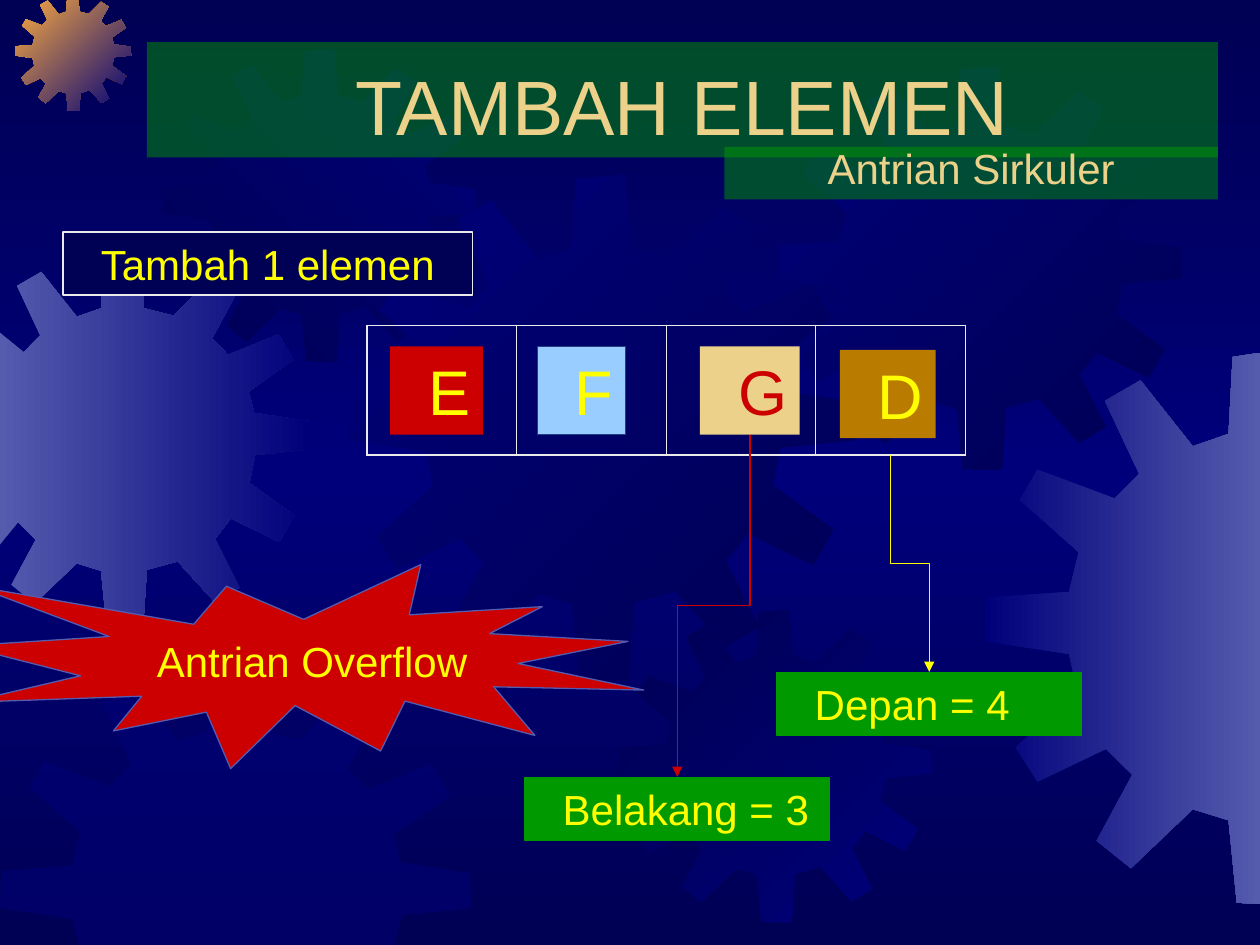
from copy import deepcopy
from pptx import Presentation
from pptx.util import Pt
from pptx.dml.color import RGBColor as Rgb
from pptx.enum.shapes import MSO_SHAPE as Kind, MSO_CONNECTOR as Link
from pptx.enum.text import MSO_ANCHOR as Anchor, MSO_AUTO_SIZE as Auto, PP_ALIGN as Align
from pptx.oxml.ns import qn
from lxml.etree import SubElement as Sub, Element

WIDE, HIGH = 720, 540
FONT = "Arial"
HUE = {
    "navy": "000054", "blue": "00007A", "haze": "555BAD", "amber": "FCAB40",
    "green": "009900", "sand": "EBD189", "red": "CC0000", "ochre": "B97C01",
    "sky": "99CCFF", "ink": "1F4081", "pale": "EAEAEA", "lemon": "FFFF00",
}

SPAN = 401
TEETH = [
    (255, 67), (223, 59), (219, 0), (180, 3), (177, 59), (151, 68), (113, 20), (87, 35),
    (112, 88), (94, 106), (38, 85), (25, 107), (68, 145), (61, 174), (1, 178), (0, 210),
    (61, 219), (67, 246), (22, 287), (38, 312), (88, 288), (107, 307), (81, 355), (106, 375),
    (151, 332), (177, 340), (183, 400), (222, 401), (226, 339), (259, 330), (299, 374), (325, 358),
    (299, 306), (316, 284), (368, 309), (384, 281), (336, 246), (342, 216), (401, 210), (400, 180),
    (341, 171), (335, 148), (383, 114), (367, 87), (313, 109), (296, 91), (323, 41), (297, 25),
]
GEARS = [
    (-36.7, 144.7, 214, "haze", "blue", 0),
    (8.6, -3, 66.3, "amber", "blue", 45),
    (93.6, 28.1, 178.6, "navy", "blue", 315),
    (199.4, 100.1, 289, "blue", "navy", 45),
    (0, 378, 269.3, "blue", None, 0),
    (353.5, 348.5, 178.6, "navy", "blue", 45),
    (445, 38.2, 230.4, "blue", "navy", 45),
    (563, 201.6, 315, "blue", "haze", 0),
]

TITLE = ("TAMBAH ELEMEN", (84, 24, 612, 66))
SUB = ("Antrian Sirkuler", (414, 84, 282, 30))
TILES = [
    ("E", (223, 198, 53, 50.4), "red", None, "lemon"),
    ("F", (307, 198, 50.6, 50.4), "sky", "ink", "lemon"),
    ("G", (400, 198, 57, 50.4), "sand", None, "red"),
    ("D", (480, 200, 54.7, 50.4), "ochre", None, "lemon"),
]
NOTES = [
    ("Tambah 1 elemen", (36, 132.5, 234, 36), "navy", "pale"),
    ("Depan = 4", (444, 384.3, 174, 36), "green", "green"),
    ("Belakang = 3", (300, 444.3, 174, 36), "green", "green"),
]
BURST = ("Antrian Overflow", (-20.9, 322.6, 388.8, 116.6), "red", "haze")
QUEUE = (209.7, 186, 342, 74)
SLOTS = 4
LINKS = [((509, 260), (531, 384), "lemon"), ((428.5, 248.4), (387, 444), "red")]


def rgb(name):
    return Rgb.from_string(HUE[name])


def paint(shape, name, line=None, width=0.75, alpha=None):
    shape.shadow.inherit = False
    shape.fill.solid()
    shape.fill.fore_color.rgb = rgb(name)
    if alpha:
        clr = shape.fill._xPr.find(".//" + qn("a:srgbClr"))
        Sub(clr, qn("a:alpha"), val=str(alpha * 1000))
    if line:
        shape.line.color.rgb = rgb(line)
        shape.line.width = Pt(width)
    else:
        shape.line.fill.background()


def blend(fill, names, turn):
    fill.gradient()
    fill.gradient_angle = (360 - turn) % 360
    for stop, name in zip(fill.gradient_stops, names):
        stop.color.rgb = rgb(name)


def write(shape, text, size, name, align=Align.CENTER, anchor=Anchor.MIDDLE, left=21.6, wrap=True):
    frame = shape.text_frame
    frame.text = text
    frame.word_wrap = wrap
    frame.auto_size = Auto.NONE
    frame.vertical_anchor = anchor
    frame.margin_left, frame.margin_right = Pt(left), Pt(7.2)
    frame.margin_top = frame.margin_bottom = Pt(3.6)
    para = frame.paragraphs[0]
    para.alignment = align
    font = para.runs[0].font
    font.name, font.size, font.color.rgb = FONT, Pt(size), rgb(name)


def place(kind, box):
    return shapes.add_shape(kind, *map(Pt, box))


def gear(left, top, size, one, two, turn):
    unit = size / SPAN
    dots = [(Pt(min(max(left + x * unit, 0), WIDE)), Pt(min(max(top + y * unit, 0), HIGH)))
            for x, y in TEETH]
    pen = shapes.build_freeform(*dots[0])
    pen.add_line_segments(dots[1:], close=True)
    shape = pen.convert_to_shape()
    paint(shape, one, alpha=None if two else 50)
    if two:
        blend(shape.fill, (one, two), turn)


def join(start, end, name):
    (ax, ay), (bx, by) = start, end
    midx, midy = (ax + bx) / 2, (ay + by) / 2
    run, rise = (by - ay) / 2, abs(bx - ax) / 2
    flip = 1 if bx > ax else -1
    ends = (midx + flip * run, midy - rise, midx - flip * run, midy + rise)
    link = shapes.add_connector(Link.ELBOW, *map(Pt, ends))
    link.rotation = 270 if bx > ax else 90
    link.line.color.rgb = rgb(name)
    link.line.width = Pt(0.75)
    Sub(link.line._get_or_add_ln(), qn("a:tailEnd"), type="triangle")
    Sub(link._element.spPr, qn("a:effectLst"))


def border(cell, col):
    cell.fill.background()
    props = cell._tc.get_or_add_tcPr()
    thick = {"L": col == 0, "R": col == SLOTS - 1, "T": True, "B": True}
    for i, (side, bold) in enumerate(thick.items()):
        line = Element(qn("a:ln" + side), w=str(Pt(1.08 if bold else 0.45)))
        Sub(Sub(line, qn("a:solidFill")), qn("a:srgbClr"), val=HUE["pale"])
        props.insert(i, line)


deck = Presentation()
deck.slide_width, deck.slide_height = Pt(WIDE), Pt(HIGH)
slide = deck.slides.add_slide(deck.slide_layouts[5])
shapes = slide.shapes

back = slide.background.fill
back.gradient()
stops = slide._element.find(".//" + qn("a:gsLst"))
stops.append(deepcopy(stops[0]))
blend(back, ("navy", "blue", "navy"), 90)
for stop, spot in zip(back.gradient_stops, (0, 0.5, 1)):
    stop.position = spot

for item in GEARS:
    gear(*item)

title = shapes.title
shapes._spTree.append(title._element)
text, box = TITLE
title.left, title.top, title.width, title.height = map(Pt, box)
sub = place(Kind.RECTANGLE, SUB[1])
for shape, text, size in ((title, TITLE[0], 44), (sub, SUB[0], 24)):
    paint(shape, "green", alpha=50) if shape is sub else None
    write(shape, text, size, "sand", anchor=Anchor.BOTTOM, left=7.2)
title.fill.solid()
title.fill.fore_color.rgb = rgb("green")
Sub(title.fill._xPr.find(".//" + qn("a:srgbClr")), qn("a:alpha"), val="50000")

grid = shapes.add_table(1, SLOTS, *map(Pt, QUEUE)).table
grid.first_row = grid.horz_banding = False
for col in range(SLOTS):
    border(grid.cell(0, col), col)

for text, box, fill, line, ink in TILES:
    tile = place(Kind.RECTANGLE, box)
    paint(tile, fill, line)
    write(tile, text, 36, ink, wrap=False)

for text, box, fill, line in NOTES:
    note = place(Kind.RECTANGLE, box)
    paint(note, fill, line, 1)
    write(note, text, 24, "lemon", Align.LEFT)

for item in LINKS:
    join(*item)

text, box, fill, line = BURST
burst = place(Kind.EXPLOSION1, box)
paint(burst, fill, line)
write(burst, text, 24, "lemon", wrap=False)

deck.save("out.pptx")
